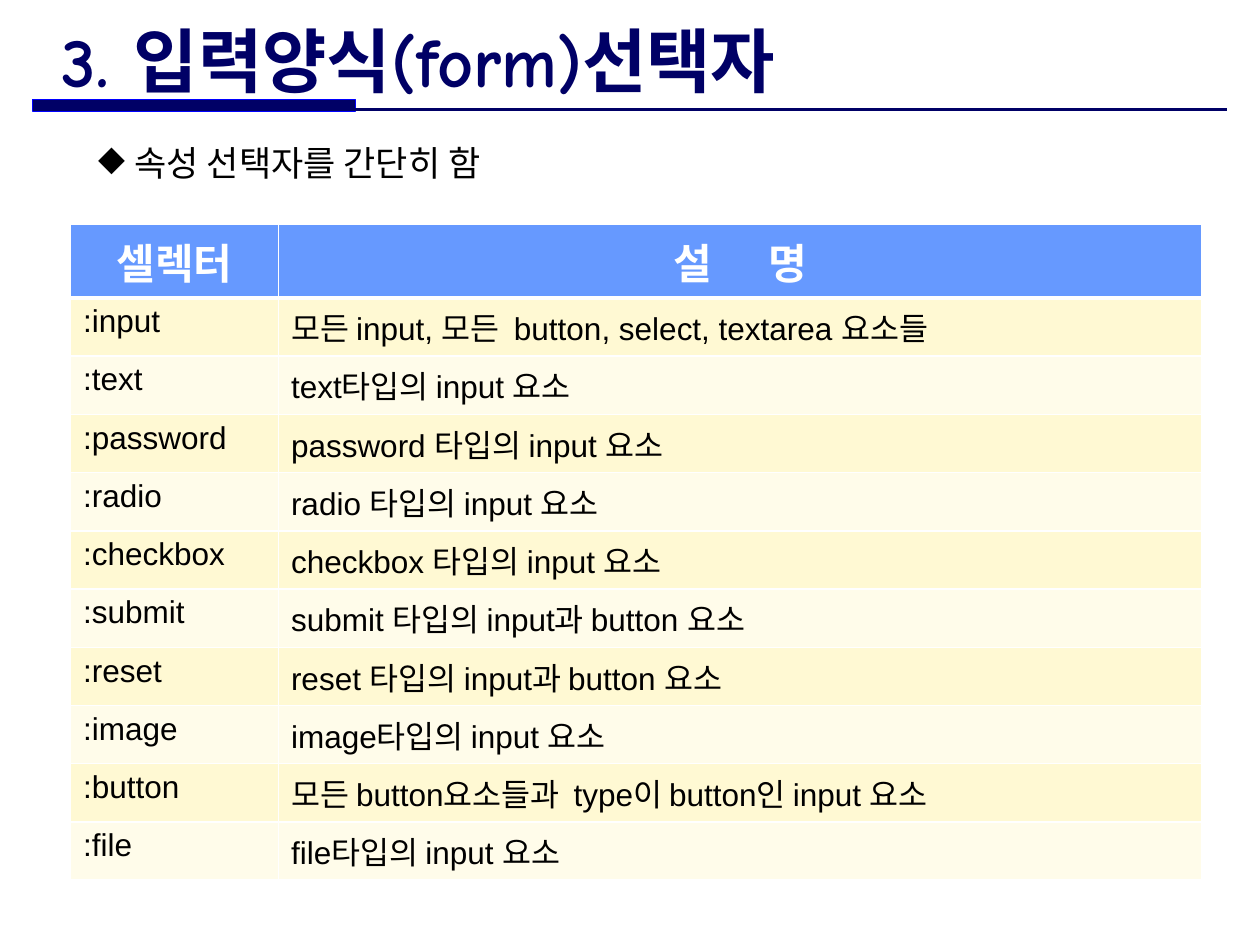
from lxml.etree import SubElement
from pptx import Presentation
from pptx.dml.color import RGBColor
from pptx.enum.shapes import MSO_CONNECTOR, MSO_SHAPE
from pptx.enum.text import MSO_ANCHOR, PP_ALIGN
from pptx.oxml.ns import qn
from pptx.util import Emu, Inches, Pt

COLORS = {"navy": "000066", "blue": "0000FF", "header": "6699FF", "odd": "FFF9D3",
          "even": "FFFCEA", "white": "FFFFFF", "black": "000000"}
KOREAN_FONT = "Noto Sans CJK KR"
HEADINGS = ("셀렉터", "설      명")
SELECTORS = [
    (":input", "모든 input, 모든  button, select, textarea 요소들"),
    (":text", "text타입의 input 요소"),
    (":password", "password 타입의 input 요소"),
    (":radio", "radio 타입의 input 요소"),
    (":checkbox", "checkbox 타입의 input 요소"),
    (":submit", "submit 타입의 input과 button 요소"),
    (":reset", "reset 타입의 input과 button 요소"),
    (":image", "image타입의 input 요소"),
    (":button", "모든 button요소들과  type이 button인 input 요소"),
    (":file", "file타입의 input 요소"),
]


def color(name):
    """Return the named colour."""
    return RGBColor.from_string(COLORS[name])


def box(left, top, width, height):
    """Return a box in inches as lengths."""
    return tuple(Inches(value) for value in (left, top, width, height))


def write(text_frame, text, size, font, color_name, bold=False):
    """Write one formatted paragraph and return it."""
    paragraph = text_frame.paragraphs[0]
    run = paragraph.add_run()
    run.text = text
    run.font.size, run.font.name, run.font.bold = Pt(size), font, bold
    run.font.color.rgb = color(color_name)
    SubElement(run.font._element, qn("a:ea"), typeface=KOREAN_FONT)
    return paragraph


def add_title(slide, area):
    """Place the slide title."""
    title = slide.shapes.title
    title.left, title.top, title.width, title.height = area
    title.text_frame.vertical_anchor = MSO_ANCHOR.MIDDLE
    paragraph = write(title.text_frame, "3. 입력양식(form)선택자", 40, "Comic Neue", "navy", True)
    paragraph.alignment = PP_ALIGN.LEFT


def add_title_rule(slide, area):
    """Draw the thick bar and the thin rule under the title."""
    left, top, width, height = area
    bar = slide.shapes.add_shape(MSO_SHAPE.RECTANGLE, left, top, Emu(int(width * 0.27)), height)
    bar.shadow.inherit = False
    bar.fill.solid()
    bar.fill.fore_color.rgb = color("navy")
    bar.line.color.rgb = color("blue")
    bar.line.width = Pt(0.75)
    bottom = top + Emu(int(height * 0.9))
    rule = slide.shapes.add_connector(MSO_CONNECTOR.STRAIGHT, left, bottom, left + width, bottom)
    rule.line.color.rgb = color("navy")
    rule.line.width = Pt(1.5)
    SubElement(rule._element.spPr, qn("a:effectLst"))


def add_bullet(slide, area):
    """Place the bulleted summary."""
    text_frame = slide.shapes.add_textbox(*area).text_frame
    text_frame.word_wrap = True
    paragraph = write(text_frame, "속성 선택자를 간단히 함", 20, KOREAN_FONT, "black")
    properties = paragraph._p.get_or_add_pPr()
    properties.set("marL", str(Inches(0.32)))
    properties.set("indent", str(-Inches(0.29)))
    SubElement(properties, qn("a:buChar"), char="◆")


def set_borders(cell, bottom_width):
    """Give a cell white borders on all sides."""
    properties = cell._tc.get_or_add_tcPr()
    widths = {"a:lnL": 1, "a:lnR": 1, "a:lnT": 1, "a:lnB": bottom_width}
    for position, (tag, width) in enumerate(widths.items()):
        line = properties.makeelement(qn(tag), {"w": str(Pt(width))})
        fill = SubElement(line, qn("a:solidFill"))
        SubElement(fill, qn("a:srgbClr"), val=COLORS["white"])
        properties.insert(position, line)


def add_selector_table(slide, area):
    """Place the table of form selectors."""
    rows = [HEADINGS, *SELECTORS]
    table = slide.shapes.add_table(len(rows), 2, *area).table
    table.columns[0].width = Inches(1.65)
    table.columns[1].width = area[2] - Inches(1.65)
    for row, texts in enumerate(rows):
        for column, text in enumerate(texts):
            cell = table.cell(row, column)
            cell.fill.solid()
            if row == 0:
                cell.fill.fore_color.rgb = color("header")
                paragraph = write(cell.text_frame, text, 24, "Arial", "white", True)
                paragraph.alignment = PP_ALIGN.CENTER
            else:
                cell.fill.fore_color.rgb = color("odd" if row % 2 else "even")
                write(cell.text_frame, text, 18, "Arial", "black")
            set_borders(cell, 3 if row == 0 else 1)


def main():
    """Build and save the presentation."""
    presentation = Presentation()
    presentation.slide_width, presentation.slide_height = Inches(10), Inches(7.5)
    slide = presentation.slides.add_slide(presentation.slide_layouts[5])
    add_title_rule(slide, box(0.26, 0.79, 9.48, 0.09))
    add_selector_table(slide, box(0.56, 1.78, 8.98, 4.55))
    add_title(slide, box(0.39, 0.21, 6.79, 0.52))
    add_bullet(slide, box(0.65, 1.07, 7.92, 0.44))
    presentation.save("out.pptx")


if __name__ == "__main__":
    main()
